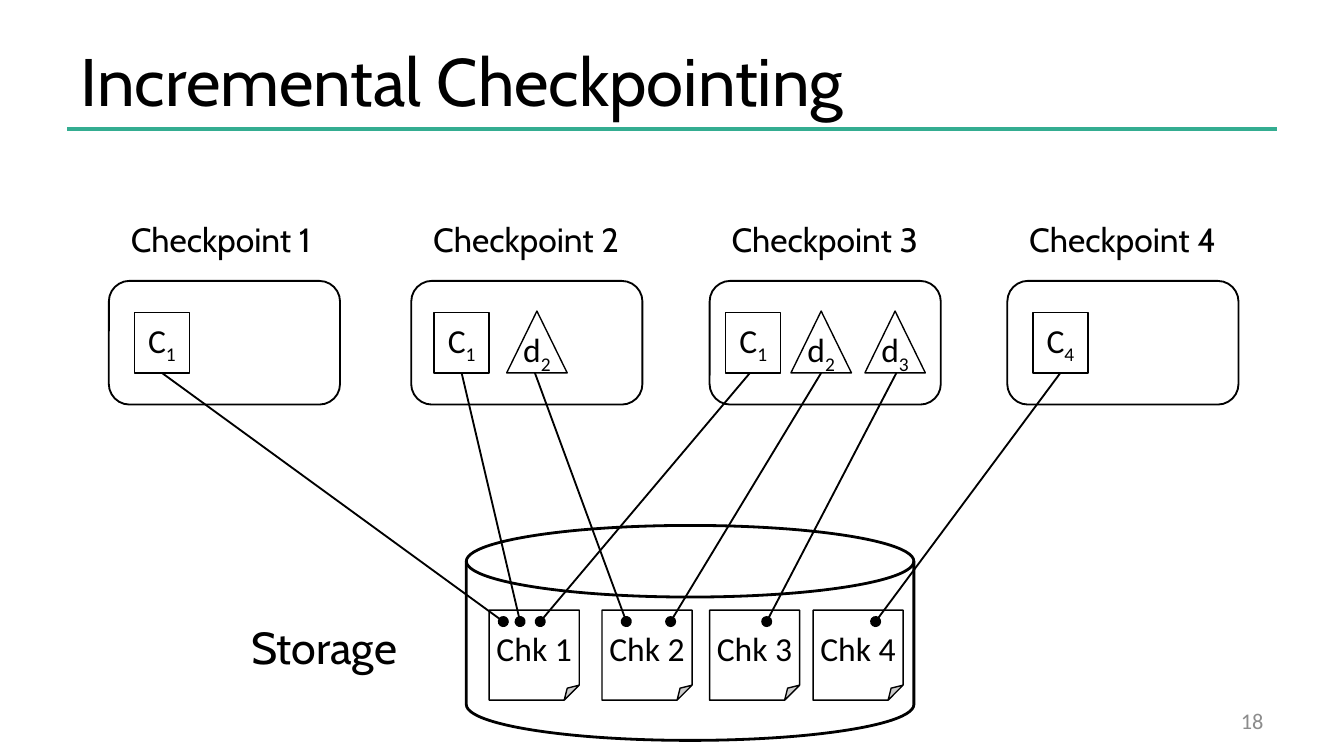
from lxml.etree import SubElement
from pptx import Presentation
from pptx.dml.color import RGBColor
from pptx.enum.shapes import MSO_CONNECTOR, MSO_SHAPE
from pptx.enum.text import MSO_ANCHOR, MSO_AUTO_SIZE, PP_ALIGN
from pptx.oxml.ns import qn
from pptx.util import Emu, Pt

EMU_PER_PX = 4572
BLACK = "000000"
WHITE = "FFFFFF"
GREEN = "34AD91"
GRAY = "8C8C8C"


def px(*lengths):
    return [Emu(length * EMU_PER_PX) for length in lengths]


def color(hex_value):
    return RGBColor.from_string(hex_value)


def format_runs(paragraph, size, font, hex_value=BLACK):
    for run in paragraph.runs:
        run.font.size = Pt(size)
        run.font.name = font
        run.font.color.rgb = color(hex_value)


def add_title(slide, text):
    title = slide.shapes.title
    title.left, title.top, title.width, title.height = px(100, 45, 1800, 148)
    frame = title.text_frame
    frame.text = text
    frame.auto_size = MSO_AUTO_SIZE.NONE
    frame.vertical_anchor = MSO_ANCHOR.MIDDLE
    paragraph = frame.paragraphs[0]
    paragraph.alignment = PP_ALIGN.LEFT
    format_runs(paragraph, 36, "Cabin")


def add_label(slide, text, box, size):
    frame = slide.shapes.add_textbox(*px(*box)).text_frame
    frame.text = text
    frame.word_wrap = False
    frame.auto_size = MSO_AUTO_SIZE.SHAPE_TO_FIT_TEXT
    format_runs(frame.paragraphs[0], size, "Cabin")


def add_page_number(slide, text):
    frame = slide.shapes.add_textbox(*px(1434, 1043, 466, 60)).text_frame
    frame.text = text
    frame.word_wrap = True
    frame.vertical_anchor = MSO_ANCHOR.MIDDLE
    paragraph = frame.paragraphs[0]
    paragraph.alignment = PP_ALIGN.RIGHT
    format_runs(paragraph, 12, "Calibri", GRAY)


def add_outlined(slide, kind, box, line_width):
    shape = slide.shapes.add_shape(kind, *px(*box))
    shape.shadow.inherit = False
    shape.fill.solid()
    shape.fill.fore_color.rgb = color(WHITE)
    shape.line.color.rgb = color(BLACK)
    shape.line.width = Pt(line_width)
    return shape


def add_block(slide, kind, box, text, subscript=""):
    shape = add_outlined(slide, kind, box, 0.75)
    is_triangle = kind == MSO_SHAPE.ISOSCELES_TRIANGLE
    frame = shape.text_frame
    frame.text = text
    frame.word_wrap = not is_triangle
    frame.vertical_anchor = MSO_ANCHOR.MIDDLE
    frame.margin_left, frame.margin_right = px(8, 8)
    frame.margin_top, frame.margin_bottom = px(0 if is_triangle else 16, 16)
    paragraph = frame.paragraphs[0]
    paragraph.alignment = PP_ALIGN.CENTER
    if subscript:
        run = paragraph.add_run()
        run.text = subscript
        run._r.get_or_add_rPr().set("baseline", "-25000")
    format_runs(paragraph, 18, "Calibri")
    return shape


def add_line(slide, start, end, width, hex_value=BLACK):
    connector = slide.shapes.add_connector(
        MSO_CONNECTOR.STRAIGHT, *px(*start, *end))
    connector.line.color.rgb = color(hex_value)
    connector.line.width = Pt(width)
    SubElement(connector._element.spPr, qn("a:effectLst"))
    return connector


def add_reference(slide, start_x, end_x, source=None):
    connector = add_line(slide, (start_x, 555), (end_x, 925), 1)
    SubElement(connector.line._get_or_add_ln(), qn("a:tailEnd"), type="oval")
    if source is not None:
        connector.begin_connect(source, 2)


def add_checkpoint(slide, number, left):
    add_outlined(slide, MSO_SHAPE.ROUNDED_RECTANGLE, (left, 418, 344, 184), 1)
    add_label(slide, f"Checkpoint {number}", (left + 13, 316, 326, 80), 18)


def add_full_state(slide, left, subscript):
    return add_block(slide, MSO_SHAPE.RECTANGLE, (left, 465, 82, 90), "C", subscript)


def add_delta(slide, left, subscript):
    add_block(slide, MSO_SHAPE.ISOSCELES_TRIANGLE, (left, 463, 90, 92), "d", subscript)


def main():
    presentation = Presentation()
    presentation.slide_width, presentation.slide_height = px(2000, 1125)
    slide = presentation.slides.add_slide(presentation.slide_layouts[5])

    add_line(slide, (100, 192), (1900, 192), 2, GREEN)
    add_title(slide, "Incremental Checkpointing")
    add_page_number(slide, "18")
    add_outlined(slide, MSO_SHAPE.FLOWCHART_MAGNETIC_DISK, (694, 782, 666, 320), 1.5)

    for number, left in enumerate((162, 612, 1056, 1499), start=1):
        add_checkpoint(slide, number, left)
    for left, subscript in ((754, "2"), (1177, "2"), (1287, "3")):
        add_delta(slide, left, subscript)
    first, second, _, fourth = [
        add_full_state(slide, left, subscript)
        for left, subscript in ((200, "1"), (646, "1"), (1080, "1"), (1537, "4"))
    ]
    for number, left in enumerate((728, 896, 1056, 1210), start=1):
        add_block(slide, MSO_SHAPE.FOLDED_CORNER, (left, 908, 134, 134), f"Chk {number}")

    for start_x, end_x, source in (
        (241, 749, first), (687, 774, second), (796, 932, None),
        (1334, 1141, None), (1222, 998, None), (1116, 804, None),
        (1578, 1303, fourth),
    ):
        add_reference(slide, start_x, end_x, source)
    add_label(slide, "Storage", (354, 912, 262, 100), 24)

    presentation.save("out.pptx")


if __name__ == "__main__":
    main()
